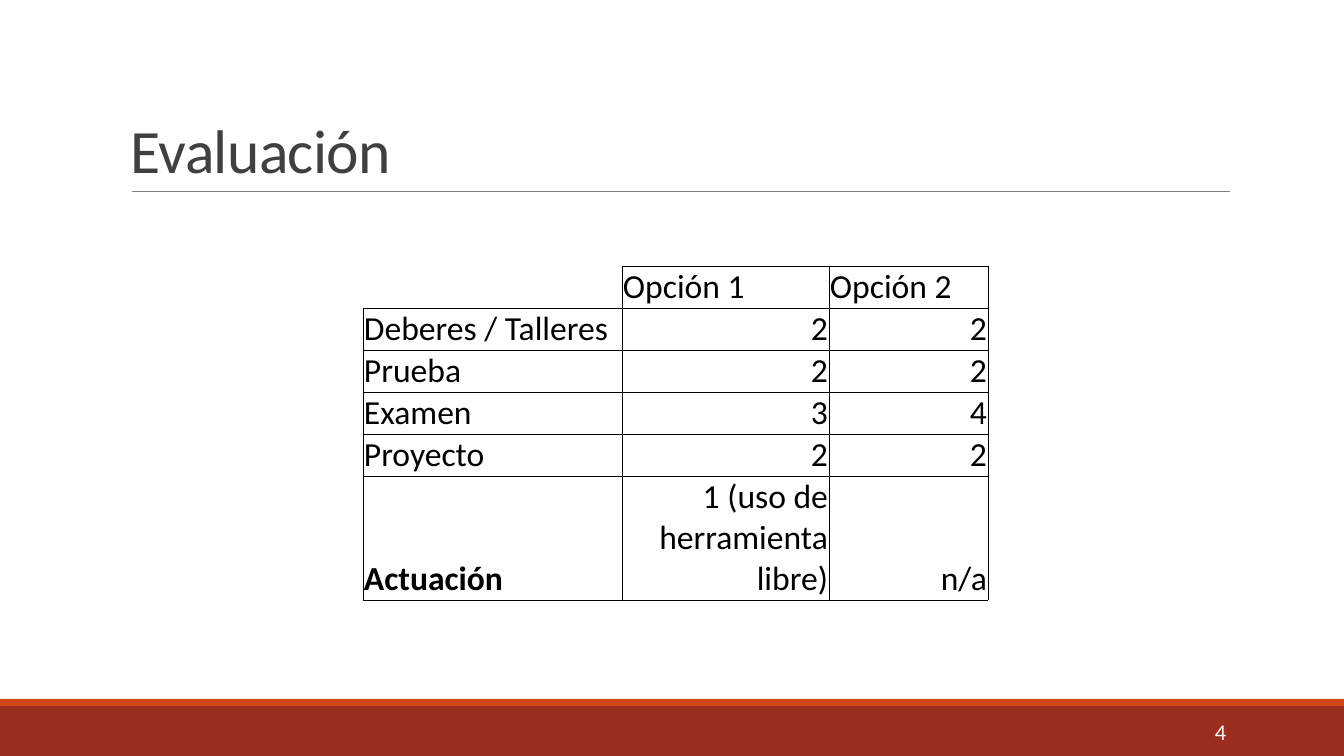
from dataclasses import dataclass

from lxml import etree
from pptx import Presentation
from pptx.dml.color import RGBColor
from pptx.enum.shapes import MSO_CONNECTOR, MSO_SHAPE
from pptx.enum.text import MSO_ANCHOR, PP_ALIGN
from pptx.oxml.ns import qn
from pptx.util import Emu, Pt

PAGE_WIDTH, PAGE_HEIGHT = 1344, 756
EMU_PER_PX = 12192000 / PAGE_WIDTH
FONT = "Calibri"
LEFT, RIGHT = PP_ALIGN.LEFT, PP_ALIGN.RIGHT
MIDDLE, BOTTOM = MSO_ANCHOR.MIDDLE, MSO_ANCHOR.BOTTOM
RECTANGLE, STRAIGHT = MSO_SHAPE.RECTANGLE, MSO_CONNECTOR.STRAIGHT
BLACK = "000000"


@dataclass(frozen=True)
class Band:
    top: int
    height: int
    color: str


@dataclass(frozen=True)
class Label:
    text: str
    left: int
    top: int
    width: int
    height: int
    size: int
    color: str
    align: PP_ALIGN
    anchor: MSO_ANCHOR
    line_spacing: float = 1.0
    tracking: int = 0  # hundredths of a point


BANDS = [Band(706, 50, "9B2D1F"), Band(699, 7, "D34817")]
LABELS = [
    Label("Evaluación", 121, 31, 1109, 160, 44, "404040", LEFT, BOTTOM, 0.85, -50),
    Label("4", 1092, 712, 144, 40, 16, "FFFFFF", RIGHT, MIDDLE),
]
GRADES = [
    ["", "Opción 1", "Opción 2"],
    ["Deberes / Talleres", "2", "2"],
    ["Prueba", "2", "2"],
    ["Examen", "3", "4"],
    ["Proyecto", "2", "2"],
    ["Actuación", "1 (uso de herramienta libre)", "n/a"],
]
COLUMN_WIDTHS = [259, 207, 159]
ROW_HEIGHTS = [42] * 5 + [124]


def px(length: int) -> Emu:
    return Emu(round(length * EMU_PER_PX))


def rgb(color: str) -> RGBColor:
    return RGBColor.from_string(color)


def apply(target, values: dict) -> None:
    for name, value in values.items():
        setattr(target, name, value)


def write(frame, text: str, size: int, color: str, align: PP_ALIGN,
          bold: bool = False, line_spacing: float = 1.0):
    para = frame.paragraphs[0]
    apply(para, {"alignment": align, "line_spacing": line_spacing})
    span = para.add_run()
    span.text = text
    apply(span.font, {"name": FONT, "size": Pt(size), "bold": bold})
    span.font.color.rgb = rgb(color)
    return span


def draw_band(page, band: Band) -> None:
    box = page.shapes.add_shape(RECTANGLE, 0, px(band.top), px(PAGE_WIDTH), px(band.height))
    box.shadow.inherit = False
    box.fill.solid()
    box.fill.fore_color.rgb = rgb(band.color)
    box.line.fill.background()


def draw_rule(page, left: int, right: int, top: int, color: str) -> None:
    rule = page.shapes.add_connector(STRAIGHT, px(left), px(top), px(right), px(top))
    rule.line.color.rgb = rgb(color)
    rule.line.width = Pt(0.5)
    etree.SubElement(rule._element.spPr, qn("a:effectLst"))


def draw_label(page, label: Label) -> None:
    box = page.shapes.add_textbox(px(label.left), px(label.top), px(label.width), px(label.height))
    apply(box.text_frame, {"word_wrap": True, "vertical_anchor": label.anchor})
    span = write(box.text_frame, label.text, label.size, label.color, label.align,
                 line_spacing=label.line_spacing)
    if label.tracking:
        span.font._element.set("spc", str(label.tracking))


def set_borders(cell, visible_sides: str) -> None:
    """Draw the sides named by L, R, T and B, and clear the others."""
    properties = cell._tc.get_or_add_tcPr()
    for side in "LRTB":
        border = etree.SubElement(properties, qn(f"a:ln{side}"), w=str(Pt(0.5)))
        if side in visible_sides:
            fill = etree.SubElement(border, qn("a:solidFill"))
            etree.SubElement(fill, qn("a:srgbClr"), val=BLACK)
        else:
            etree.SubElement(border, qn("a:noFill"))


def draw_grades(page, left: int, top: int) -> None:
    table = page.shapes.add_table(
        len(GRADES), len(COLUMN_WIDTHS), px(left), px(top),
        px(sum(COLUMN_WIDTHS)), px(sum(ROW_HEIGHTS))).table
    apply(table, {"first_row": False, "horz_banding": False})
    for column, width in zip(table.columns, COLUMN_WIDTHS):
        column.width = px(width)
    for row, height in zip(table.rows, ROW_HEIGHTS):
        row.height = px(height)
    for row_index, texts in enumerate(GRADES):
        for column_index, text in enumerate(texts):
            cell = table.cell(row_index, column_index)
            apply(cell, {"margin_left": px(1), "margin_right": px(1), "margin_top": px(1),
                         "margin_bottom": 0, "vertical_anchor": BOTTOM})
            set_borders(cell, "LRTB" if text else "RB")
            cell.fill.background()
            if text:
                align = RIGHT if row_index and column_index else LEFT
                write(cell.text_frame, text, 24, BLACK, align, bold=text == "Actuación")


def main() -> None:
    deck = Presentation()
    apply(deck, {"slide_width": px(PAGE_WIDTH), "slide_height": px(PAGE_HEIGHT)})
    page = deck.slides.add_slide(deck.slide_layouts[6])
    for band in BANDS:
        draw_band(page, band)
    draw_rule(page, 132, 1230, 191, "808080")
    for label in LABELS:
        draw_label(page, label)
    draw_grades(page, 363, 266)
    deck.save("out.pptx")


if __name__ == "__main__":
    main()
